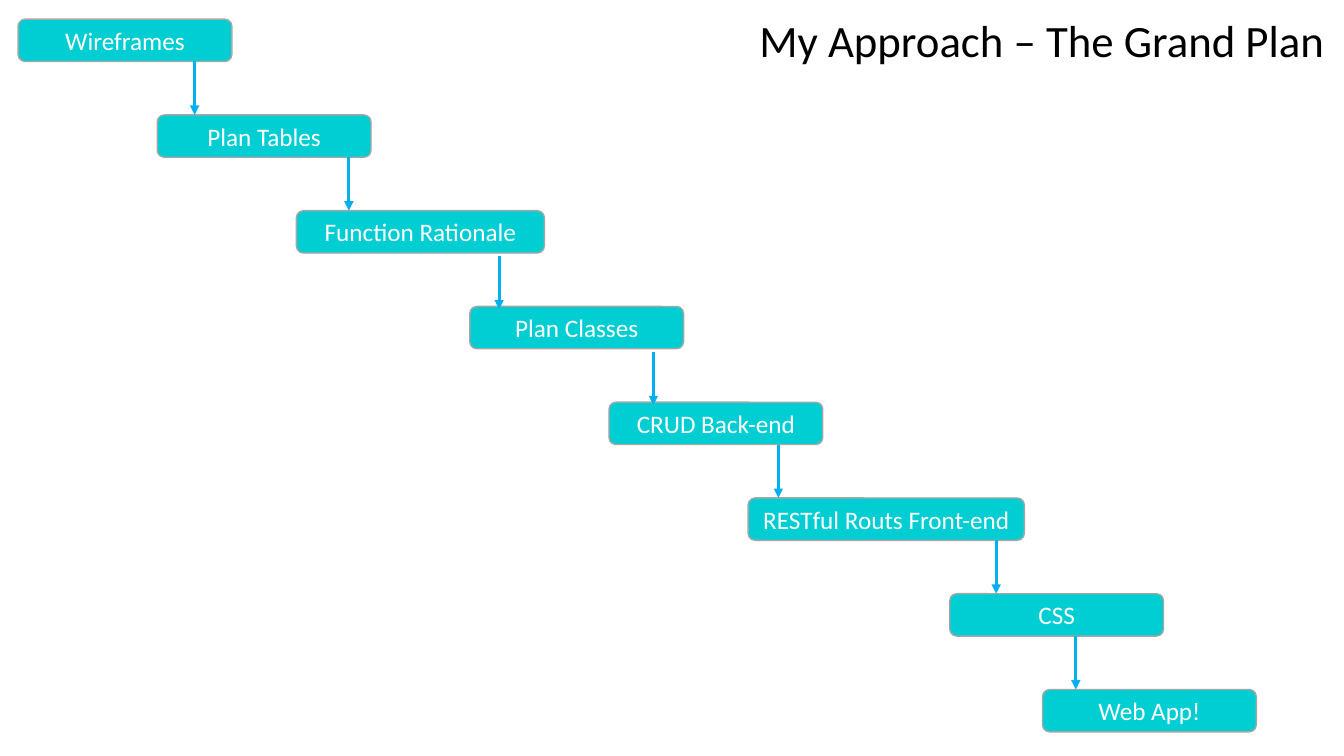
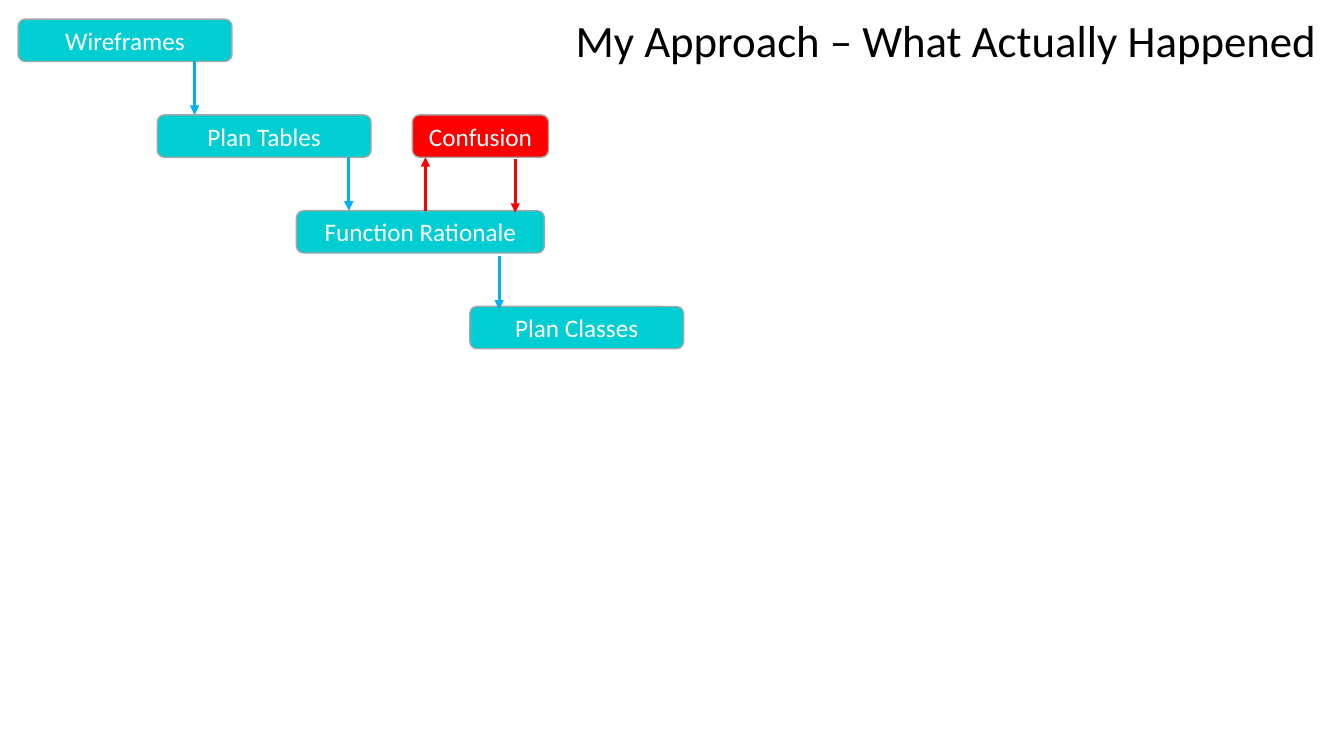
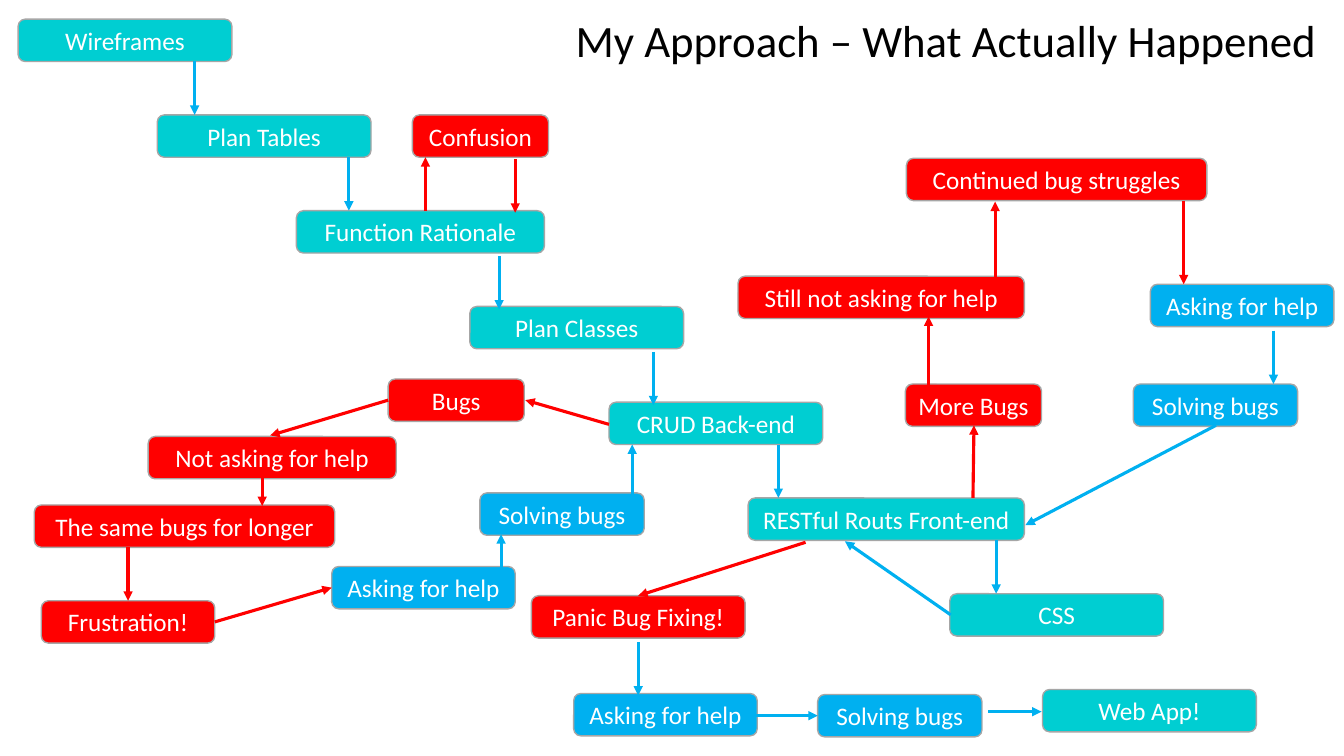
"""Build three flow slides comparing the planned approach with what happened."""
from dataclasses import dataclass

from lxml import etree
from pptx import Presentation
from pptx.dml.color import RGBColor
from pptx.enum import shapes, text
from pptx.oxml import ns
from pptx.util import Inches, Pt


@dataclass(frozen=True)
class Theme:
    """Colours, type and line sizes shared by all slides."""
    font: str = "Calibri"
    title_size: int = 32
    box_size: int = 18
    title: str = "000000"
    box_text: str = "FFFFFF"
    border: str = "A6A6A6"
    plan: str = "00CED2"
    trouble: str = "FF0000"
    help: str = "00B0F0"
    border_width: float = 1
    arrow_width: float = 2.25


THEME = Theme()
BOX_HEIGHT = 0.42
STEP_PITCH = 0.95
FIRST_LEFT, FIRST_TOP = 0.18, 0.19
TITLE_TOP, TITLE_HEIGHT, TITLE_RIGHT = 0.08, 0.64, 13.25

# label, width, overlap with the next step
STEPS = [
    ("Wireframes", 2.12, 0.74),
    ("Plan Tables", 2.12, 0.74),
    ("Function Rationale", 2.46, 0.74),
    ("Plan Classes", 2.12, 0.74),
    ("CRUD Back-end", 2.12, 0.74),
    ("RESTful Routs Front-end", 2.74, 0.74),
    ("CSS", 2.12, 1.2),
    ("Web App!", 2.12, 0),
]
# x, offset below the step
STEP_ARROWS = [(1.93, 0), (3.46, 0), (4.95, 0.03), (6.48, 0.03),
               (7.72, 0), (9.88, 0), (10.67, 0)]

CONFUSION = {
    "boxes": [("Confusion", "trouble", 4.09, 1.14, 1.35)],
    "arrows": [
        ("trouble", (4.22, 2.09), (4.22, 1.56)),
        ("trouble", (5.11, 1.58), (5.11, 2.11)),
    ],
}
BACK_END_BUGS = {
    "boxes": [
        ("Bugs", "trouble", 3.85, 3.76, 1.35),
        ("Not asking for help", "trouble", 1.47, 4.33, 2.46),
        ("The same bugs for longer", "trouble", 0.34, 5.01, 2.98),
        ("Frustration!", "trouble", 0.41, 5.96, 1.72),
        ("Asking for help", "help", 3.29, 5.62, 1.82),
        ("Solving bugs", "help", 4.76, 4.89, 1.63),
    ],
    "arrows": [
        ("trouble", (6.04, 4.21), (5.21, 3.97)),
        ("trouble", (3.85, 3.97), (2.68, 4.32)),
        ("trouble", (2.6, 4.7), (2.6, 5.02)),
        ("trouble", (1.27, 5.43), (1.27, 5.96)),
        ("trouble", (2.13, 6.17), (3.29, 5.83)),
        ("help", (4.97, 5.83), (4.97, 5.3)),
        ("help", (6.27, 4.94), (6.27, 4.41)),
    ],
}
FRONT_END_BUGS = {
    "boxes": [
        ("More Bugs", "trouble", 8.98, 3.81, 1.35),
        ("Still not asking for help", "trouble", 7.32, 2.74, 2.84),
        ("Continued bug struggles", "trouble", 8.99, 1.57, 2.98),
        ("Asking for help", "help", 11.41, 2.82, 1.82),
        ("Solving bugs", "help", 11.24, 3.81, 1.63),
    ],
    "arrows": [
        ("trouble", (9.65, 4.94), (9.66, 4.22)),
        ("trouble", (9.21, 3.86), (9.21, 3.14)),
        ("trouble", (9.87, 2.8), (9.87, 2)),
        ("trouble", (11.74, 1.99), (11.74, 2.82)),
        ("help", (12.63, 3.28), (12.63, 3.81)),
        ("help", (12.06, 4.22), (10.17, 5.21)),
    ],
}
LAST_FIXES = {
    "boxes": [
        ("Panic Bug Fixing!", "trouble", 5.27, 5.91, 2.12),
        ("Asking for help", "help", 5.69, 6.88, 1.82),
        ("Solving bugs", "help", 8.11, 6.89, 1.63),
    ],
    "arrows": [
        ("help", (9.43, 6.1), (8.38, 5.37)),
        ("trouble", (7.99, 5.38), (6.33, 5.91)),
        ("help", (6.33, 6.37), (6.33, 6.9)),
        ("help", (7.45, 7.1), (8.11, 7.1)),
        ("help", (9.8, 7.06), (10.33, 7.06)),
    ],
}

PLAN_TITLE = ("My Approach – The Grand Plan", 5.83)
REAL_TITLE = ("My Approach – What Actually Happened", 7.73)
# title and its width, number of steps, number of step arrows, detours
PAGES = [
    (PLAN_TITLE, 8, 7, []),
    (REAL_TITLE, 4, 3, [CONFUSION]),
    (REAL_TITLE, 8, 6, [CONFUSION, BACK_END_BUGS, FRONT_END_BUGS, LAST_FIXES]),
]


def rgb(name):
    return RGBColor.from_string(getattr(THEME, name))


def write(frame, words, size, colour):
    para = frame.paragraphs[0]
    para.alignment = text.PP_ALIGN.CENTER
    span = para.add_run()
    span.text = words
    span.font.name = THEME.font
    span.font.size = Pt(size)
    span.font.color.rgb = rgb(colour)


def add_title(page, words, width):
    title = page.shapes.title
    title.left, title.top = Inches(TITLE_RIGHT - width), Inches(TITLE_TOP)
    title.width, title.height = Inches(width), Inches(TITLE_HEIGHT)
    frame = title.text_frame
    frame.vertical_anchor = text.MSO_ANCHOR.TOP
    frame.auto_size = text.MSO_AUTO_SIZE.SHAPE_TO_FIT_TEXT
    write(frame, words, THEME.title_size, "title")


def add_box(page, label, tone, left, top, width):
    box = page.shapes.add_shape(
        shapes.MSO_SHAPE.ROUNDED_RECTANGLE,
        Inches(left), Inches(top), Inches(width), Inches(BOX_HEIGHT))
    box.shadow.inherit = False
    box.fill.solid()
    box.fill.fore_color.rgb = rgb(tone)
    box.line.color.rgb = rgb("border")
    box.line.width = Pt(THEME.border_width)
    box.text_frame.vertical_anchor = text.MSO_ANCHOR.MIDDLE
    write(box.text_frame, label, THEME.box_size, "box_text")


def add_arrow(page, tone, start, end):
    arrow = page.shapes.add_connector(
        shapes.MSO_CONNECTOR.STRAIGHT, *map(Inches, start + end))
    arrow.line.color.rgb = rgb(tone)
    arrow.line.width = Pt(THEME.arrow_width)
    properties = arrow.element.spPr
    etree.SubElement(properties.find(ns.qn("a:ln")),
                     ns.qn("a:tailEnd"), type="triangle")
    etree.SubElement(properties, ns.qn("a:effectLst"))


def staircase(step_count, arrow_count):
    boxes, arrows = [], []
    left = FIRST_LEFT
    for row, (label, width, overlap) in enumerate(STEPS[:step_count]):
        boxes.append((label, "plan", left, FIRST_TOP + row * STEP_PITCH, width))
        left += width - overlap
    for row, (x, offset) in enumerate(STEP_ARROWS[:arrow_count]):
        start = FIRST_TOP + row * STEP_PITCH + BOX_HEIGHT + offset
        end = start + STEP_PITCH - BOX_HEIGHT
        arrows.append(("help", (x, start), (x, end)))
    return {"boxes": boxes, "arrows": arrows}


def main():
    deck = Presentation()
    deck.slide_width, deck.slide_height = Inches(13.33), Inches(7.5)
    title_only = deck.slide_layouts.get_by_name("Title Only")
    for title, step_count, arrow_count, detours in PAGES:
        page = deck.slides.add_slide(title_only)
        add_title(page, *title)
        flows = [staircase(step_count, arrow_count), *detours]
        for flow in flows:
            for box in flow["boxes"]:
                add_box(page, *box)
        for flow in flows:
            for arrow in flow["arrows"]:
                add_arrow(page, *arrow)
    deck.save("out.pptx")


if __name__ == "__main__":
    main()
